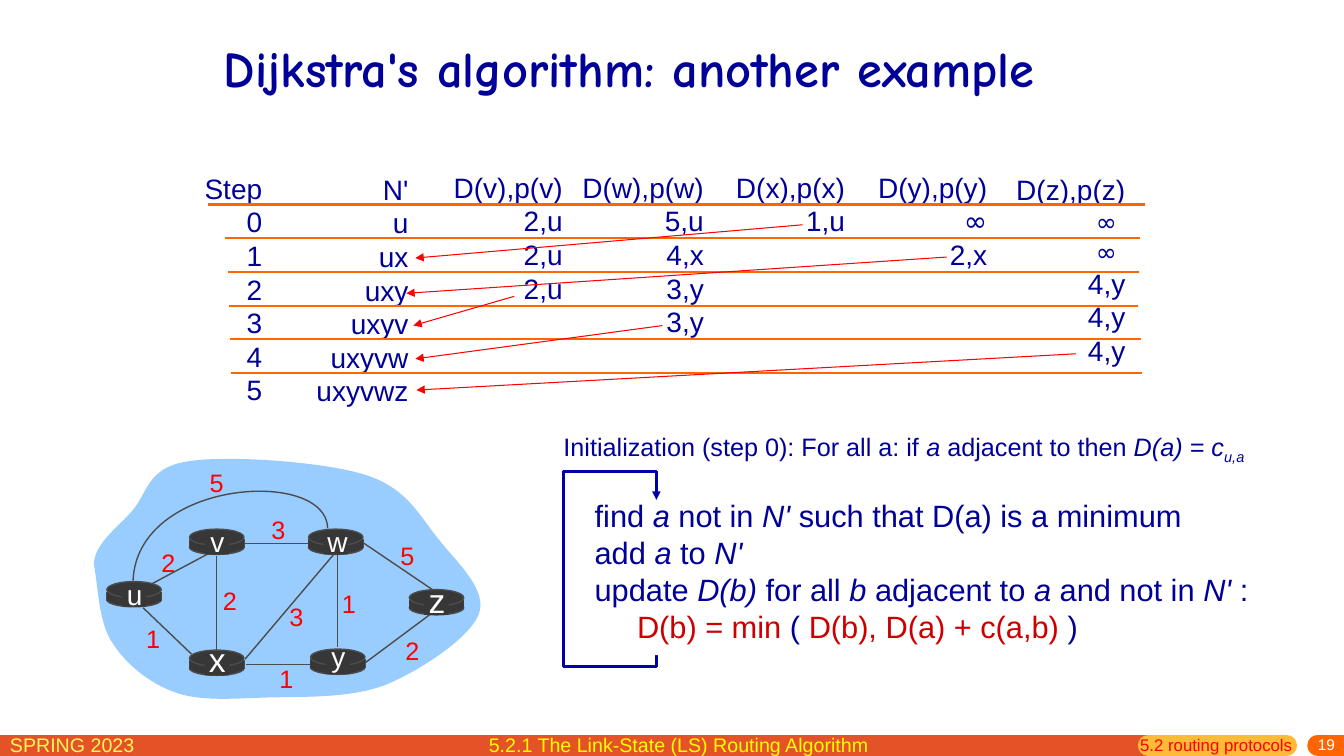
from lxml import etree
from pptx import Presentation
from pptx.dml.color import RGBColor
from pptx.enum.shapes import MSO_CONNECTOR, MSO_SHAPE
from pptx.enum.text import MSO_ANCHOR, MSO_AUTO_SIZE, PP_ALIGN
from pptx.oxml.ns import qn
from pptx.util import Inches, Pt

LEFT, CENTER, RIGHT = PP_ALIGN.LEFT, PP_ALIGN.CENTER, PP_ALIGN.RIGHT
MIDDLE, TOP = MSO_ANCHOR.MIDDLE, MSO_ANCHOR.TOP
FIXED, GROW = MSO_AUTO_SIZE.NONE, MSO_AUTO_SIZE.SHAPE_TO_FIT_TEXT
OVAL, RECT = MSO_SHAPE.OVAL, MSO_SHAPE.RECTANGLE
STRAIGHT = MSO_CONNECTOR.STRAIGHT
CELL = Inches(0.1)
BODY, HAND = "Arial", "Comic Neue"
COLORS = {
    "navy": "000099", "bracket": "0000A8", "rule": "FF6600", "red": "FF0000",
    "formula": "CC0000", "cloud": "99CCFF", "router": "373737", "edge": "4C4C4C",
    "white": "FFFFFF", "bar": "E45327", "tab": "FFBA37", "term": "FFF65C",
    "yellow": "FFFF00",
}
COLUMNS = [
    (0, 0.1, 7.7, ["Step", "0", "1", "2", "3", "4", "5"]),
    (11.1, 0.2, 11.1, ["N'", "u", "ux", "uxy", "uxyv", "uxyvw", "uxyvwz"]),
    (24.7, 0, 12.8, ["D(v),p(v)", "2,u", "2,u", "2,u"]),
    (37.4, 0, 14.1, ["D(w),p(w)", "5,u", "4,x", "3,y", "3,y"]),
    (52.7, 0, 12.8, ["D(x),p(x)", "1,u"]),
    (66.8, 0, 12.8, ["D(y),p(y)", "∞", "2,x"]),
    (80.5, 0.2, 12.8, ["D(z),p(z)", "∞ ", "∞ ", "4,y", "4,y", "4,y"]),
]
RULES = [(1.3, 94.3), (3, 93.8), (3.3, 93.7), (3.4, 93.6), (3.5, 93.9), (3.6, 94)]
CHOICES = [
    (60.3, 5.9, 21.9, 9.2), (74.6, 9.1, 21, 12.7), (31.7, 13, 21.7, 15.9),
    (46.4, 15.9, 21.9, 19.2), (87.4, 18.7, 22, 22.3),
]
CLOUD = [
    (0, 10.9), (0.1, 8.8), (2.3, 7.3), (3.8, 5.6), (5.3, 3.9), (5.3, 1.3), (9.2, 0.7),
    (13, 0), (22.8, 0.7), (26.9, 2), (31.1, 3.3), (32.3, 6.1), (34.2, 8.4),
    (36, 10.7), (39.1, 13.4), (38.2, 15.8), (37.3, 18.2), (32.3, 21.5), (28.8, 22.9),
    (25.3, 24.2), (20.7, 24), (17.2, 24.1), (13.8, 24.2), (10.6, 24.5), (8.1, 23.6),
    (5.5, 22.7), (3.1, 20.7), (1.8, 18.6), (0.4, 16.5), (0.4, 12.5), (0, 10.9),
]
ARC = [(23.2, 7.3), (23.1, 1.3), (4.3, 2.4), (3.9, 12.5)]
EDGES = [
    (5.8, 12.8, 11.8, 9.6), (24.2, 10, 24.2, 19.1), (12.2, 10.1, 12.2, 19.5),
    (15, 20.3, 23.8, 9.9), (27, 20.6, 33.3, 15.9), (21.5, 20.8, 15.1, 20.8),
    (9.7, 19.8, 4.9, 15.2), (21.4, 8.8, 15, 8.8), (33.6, 13.4, 26.8, 8.8),
]
ROUTERS = [
    ("u", 1.3, 12.6, 20, -0.9), ("x", 9.5, 19.4, 24, -1.6), ("v", 9.5, 7.4, 20, -1),
    ("w", 21.3, 7.4, 20, -1), ("y", 21.5, 19.3, 20, -1.4), ("z", 31.3, 13.4, 24, -1.5),
]
WEIGHTS = [
    ("2", 7.4, 8.7), ("2", 13.5, 12.5), ("1", 5.9, 16.2), ("3", 20.1, 14.1),
    ("1", 19.1, 20.2), ("1", 25.3, 12.8), ("2", 31.6, 17.4), ("5", 31.1, 8),
    ("3", 18.3, 5.4), ("5", 12.2, 0.8),
]
STEPS = [
    "find *a* not in *N' *such that D(a) is a minimum",
    "add *a* to *N'*",
    "update *D(b) *for all *b* adjacent to *a* and not in *N' *:",
]
FORMULA = "*D(b) = min *( *D(b), D(a) + c(a,b)* )"
INITIAL = "Initialization (step 0): For all a: if *a* adjacent to then *D(a) = c*"


def rgb(name):
    return RGBColor.from_string(COLORS[name])


class Region:
    def __init__(self, slide, left, top):
        self.shapes, self.left, self.top = slide.shapes, left, top

    def point(self, x, y):
        return round((self.left + x) * CELL), round((self.top + y) * CELL)

    def line(self, x1, y1, x2, y2, color, width, arrow=False, cap="flat"):
        c = self.shapes.add_connector(STRAIGHT, *self.point(x1, y1), *self.point(x2, y2))
        c.line.color.rgb, c.line.width = rgb(color), Pt(width)
        sp_pr = c._element.spPr
        ln = sp_pr.find(qn("a:ln"))
        ln.set("cap", cap)
        if arrow:
            etree.SubElement(ln, qn("a:tailEnd"), type="triangle")
        etree.SubElement(sp_pr, qn("a:effectLst"))

    def shape(self, kind, x, y, w, h, fill=None, line=None, width=1):
        sp = self.shapes.add_shape(kind, *self.point(x, y), round(w * CELL), round(h * CELL))
        paint(sp, fill, line, width)

    def curve(self, points, fill=None, line=None):
        start, *rest = [self.point(x, y) for x, y in points]
        builder = self.shapes.build_freeform(*start)
        builder.add_line_segments(rest, close=fill is not None)
        sp = builder.convert_to_shape()
        segments = list(sp._element.iter(qn("a:lnTo")))
        for first, second, third in zip(*[iter(segments)] * 3):
            first.tag = qn("a:cubicBezTo")
            for segment in (second, third):
                first.append(segment[0])
                segment.getparent().remove(segment)
        paint(sp, fill, line)

    def text(self, x, y, w, h, lines, size, color, align=LEFT, font=BODY,
             anchor=TOP, wrap=False):
        tf = self.shapes.add_textbox(*self.point(x, y), round(w * CELL), round(h * CELL)).text_frame
        tf.word_wrap, tf.vertical_anchor = wrap, anchor
        tf.auto_size = FIXED if wrap else GROW
        for i, line in enumerate(lines):
            p = tf.add_paragraph() if i else tf.paragraphs[0]
            p.alignment = align
            p.font.name, p.font.size, p.font.color.rgb = font, Pt(size), rgb(color)
            p.font.bold = font == HAND
            for j, part in enumerate(line.split("*")):
                if part:
                    r = p.add_run()
                    r.text = part
                    if j % 2:
                        r.font.italic = True
        return tf


def paint(sp, fill, line, width=1):
    sp.shadow.inherit = False
    if fill:
        sp.fill.solid()
        sp.fill.fore_color.rgb = rgb(fill)
    else:
        sp.fill.background()
    if line:
        sp.line.color.rgb, sp.line.width = rgb(line), Pt(width)
    else:
        sp.line.fill.background()


def footer(region):
    region.line(0, 1.74, 113.9, 1.74, "bar", 15)
    region.line(113.9, 1.74, 127.6, 1.74, "tab", 15, cap="rnd")
    region.line(130.7, 1.74, 133.3, 1.74, "rule", 15, cap="rnd")
    region.text(0, 0, 22.9, 3.1, ["SPRING 2023"], 14, "term", wrap=True)
    tf = region.text(107.5, 1, 25.9, 1.8, ["19"], 11, "white", RIGHT, anchor=MIDDLE, wrap=True)
    tf.margin_top = 0
    region.text(112.1, 0.2, 18.4, 3.1, ["5.2 routing protocols"], 12, "red", wrap=True)
    region.text(47.5, 0, 39.8, 3.4, ["5.2.1 The Link-State (LS) Routing Algorithm"], 14, "yellow")


def distance_table(region):
    for x, y, w, entries in COLUMNS:
        tf = region.text(x, y, w, 1 + 3.35 * len(entries), entries, 20, "navy", RIGHT)
        for p in tf.paragraphs:
            if "∞" in p.text:
                p.font.name = HAND
                p.font.size = Pt(18 if p.text.endswith(" ") else 20)
    for i, (start, end) in enumerate(RULES):
        y = 3.9 + 3.34 * i
        region.line(start, y, end, y, "rule", 1.5 if i else 2.25)
    for choice in CHOICES:
        region.line(*choice, "red", 0.75, arrow=True)


def router(region, name, x, y, size, label_dy):
    region.shape(OVAL, x, y + 1.1, 5.4, 1.4, "router", "edge")
    for side in (x, x + 5.4):
        region.line(side, y + 1, side, y + 1.9, "edge", 1)
    region.shape(RECT, x, y + 1, 5.4, 0.9, "router")
    region.shape(OVAL, x, y, 5.4, 1.6, "router", "edge")
    region.shape(RECT, x + 1.5, y + 0.2, 2.4, 2.3, "router")
    region.text(x + 0.9, y + label_dy, 3.7, 4.3, [name], size, "white", CENTER)


def network(region):
    region.curve(CLOUD, fill="cloud")
    for edge in EDGES:
        region.line(*edge, "edge", 1)
    region.curve(ARC, line="edge")
    for item in ROUTERS:
        router(region, *item)
    for cost, x, y in WEIGHTS:
        region.text(x - 1.7, y, 3.4, 4, [cost], 18, "red", CENTER)


def procedure(region):
    region.shape(RECT, 1, 4.5, 9.2, 19.3, line="bracket", width=2)
    region.shape(RECT, 9.2, 6.1, 1.8, 16.6, fill="white")
    region.line(10.2, 4.9, 10.2, 7.3, "bracket", 2, arrow=True)
    tf = region.text(3.1, 6.5, 68.6, 15.8, STEPS + [FORMULA], 22, "navy")
    formula = tf.paragraphs[-1]
    formula._p.get_or_add_pPr().set("marL", str(Inches(0.42)))
    for r in formula.runs:
        if r.font.italic:
            r.font.italic = False
            r.font.color.rgb = rgb("formula")
    p = region.text(0, 0, 73.5, 3.7, [INITIAL], 18, "navy", wrap=True).paragraphs[0]
    p.line_spacing = 0.9
    r = p.add_run()
    r.text, r.font.italic = "u,a", True
    r.font._element.set("baseline", "-25000")


def main():
    prs = Presentation()
    prs.slide_width, prs.slide_height = Inches(13.33), Inches(7.5)
    s = prs.slides.add_slide(prs.slide_layouts[6])
    footer(Region(s, 0, 72.2))
    Region(s, 21.2, 1.4).text(0, 0, 96.7, 10.5, ["Dijkstra's algorithm: another example"],
                              36, "navy", font=HAND, anchor=MIDDLE, wrap=True)
    distance_table(Region(s, 19.3, 16.4))
    network(Region(s, 9.3, 45.1))
    procedure(Region(s, 54.9, 42.3))
    prs.save("out.pptx")


if __name__ == "__main__":
    main()
